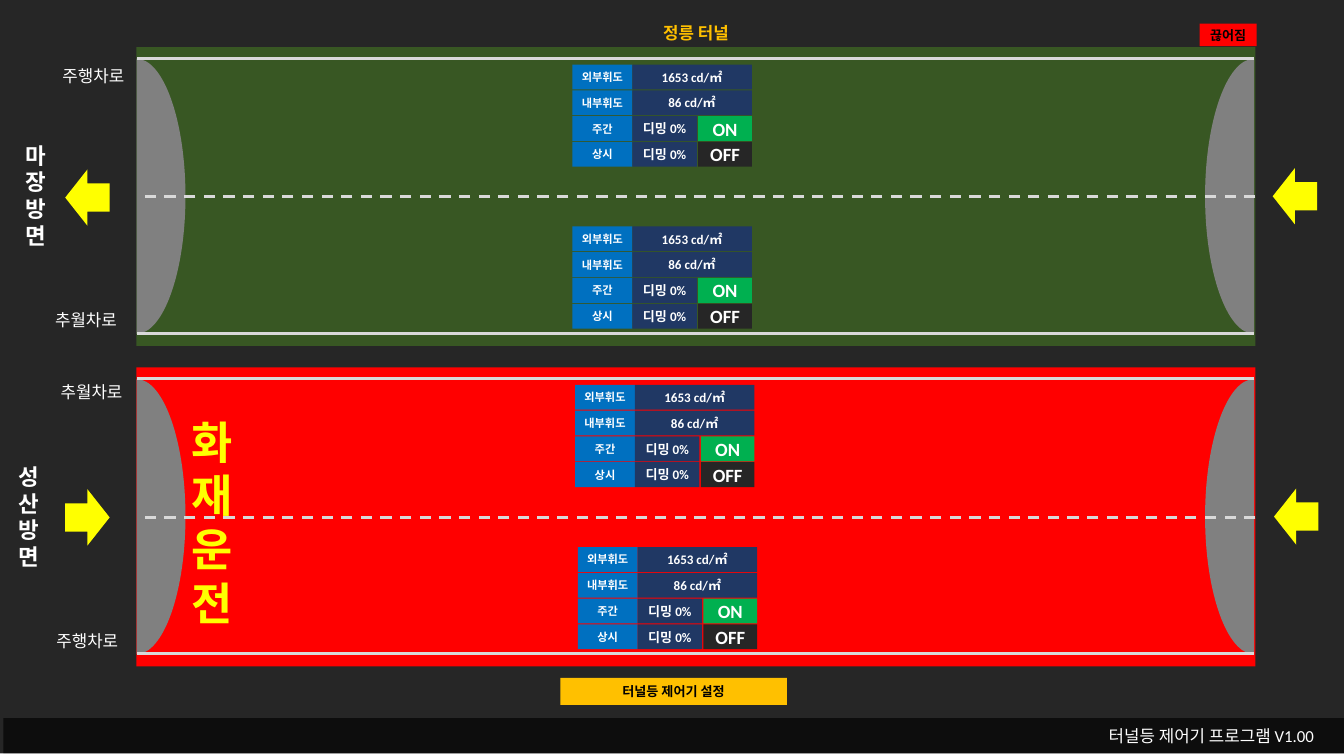
"""Build the tunnel lighting control screen as a single slide."""
from dataclasses import dataclass

from lxml import etree
from pptx import Presentation
from pptx import util as u
from pptx.dml.color import RGBColor
from pptx.enum import dml, shapes, text
from pptx.oxml.ns import qn


@dataclass(frozen=True)
class Theme:
    font: str = "Calibri"
    background: str = "262626"
    footer: str = "0D0D0D"
    white: str = "FFFFFF"
    black: str = "000000"
    yellow: str = "FFFF00"
    amber: str = "FFC000"
    red: str = "FF0000"
    road: str = "385723"
    portal: str = "808080"
    lane: str = "D9D9D9"
    name: str = "0070C0"
    value: str = "203864"
    on: str = "00B050"
    small: int = 12
    medium: int = 14
    label: int = 18
    switch: int = 20
    direction: int = 24
    alarm: int = 48


theme = Theme()
RECTANGLE = shapes.MSO_SHAPE.RECTANGLE
CENTER, RIGHT = text.PP_ALIGN.CENTER, text.PP_ALIGN.RIGHT


def paint(shape, color):
    shape.shadow.inherit = False
    shape.fill.solid()
    shape.fill.fore_color.rgb = RGBColor.from_string(color)
    shape.line.fill.background()


def write(shape, content, size, color=theme.white, bold=True, align=CENTER, margin=None):
    frame = shape.text_frame
    frame.word_wrap = True
    frame.vertical_anchor = text.MSO_ANCHOR.MIDDLE
    if margin is not None:
        frame.margin_left = frame.margin_right = u.Cm(margin)
        frame.margin_top = frame.margin_bottom = u.Cm(margin)
    frame.text = content
    for paragraph in frame.paragraphs:
        paragraph.alignment = align
        paragraph.font.name = theme.font
        paragraph.font.size = u.Pt(size)
        paragraph.font.bold = bold
        paragraph.font.color.rgb = RGBColor.from_string(color)


presentation = Presentation()
presentation.slide_width, presentation.slide_height = u.Cm(50.8), u.Cm(28.58)
slide = presentation.slides.add_slide(presentation.slide_layouts[6])

for place, color in [
    ((0, -0.1, 50.8, 28.58), theme.background),
    ((0.13, 27.15, 50.67, 1.32), theme.footer),
]:
    paint(slide.shapes.add_shape(RECTANGLE, *map(u.Cm, place)), color)

for left, top, rotation in [
    (2.24, 6.63, 90), (47.88, 6.58, 90), (2.24, 18.72, 270), (47.93, 18.69, 90),
]:
    arrow = slide.shapes.add_shape(
        shapes.MSO_SHAPE.DOWN_ARROW, u.Cm(left), u.Cm(top), u.Cm(2.13), u.Cm(1.68))
    arrow.rotation = rotation
    paint(arrow, theme.yellow)

tunnel_left, tunnel_width, tunnel_height = 5.16, 42.29, 11.3
portal_right, portal_depth, portal_radius = 47.4, 1.85, 5.2
dome = [(-1, 0.55), (-0.55, 1), (0, 1), (0.55, 1), (1, 0.55), (1, 0)]
for tunnel_top, color in [(1.78, theme.road), (13.89, theme.red)]:
    tunnel = slide.shapes.add_group_shape().shapes
    road = tunnel.add_shape(
        RECTANGLE, u.Cm(tunnel_left), u.Cm(tunnel_top), u.Cm(tunnel_width), u.Cm(tunnel_height))
    paint(road, color)

    for center_x, rotation in [
        (tunnel_left + portal_depth / 2, 90), (portal_right - portal_depth / 2, 270),
    ]:
        base_y = tunnel_top + 5.64 + portal_depth / 2
        builder = tunnel.build_freeform(u.Cm(center_x - portal_radius), u.Cm(base_y))
        builder.add_line_segments([
            (u.Cm(center_x + x * portal_radius), u.Cm(base_y - y * portal_depth))
            for x, y in dome
        ])
        portal = builder.convert_to_shape()
        outline = next(portal.element.iter(qn("a:path")))
        segments = outline.findall(qn("a:lnTo"))
        for start in (0, 3):
            curve = etree.SubElement(outline, qn("a:cubicBezTo"))
            for segment in segments[start:start + 3]:
                curve.append(segment[0])
                outline.remove(segment)
        closing = outline.find(qn("a:close"))
        if closing is None:
            closing = etree.SubElement(outline, qn("a:close"))
        outline.append(closing)
        portal.rotation = rotation
        paint(portal, theme.portal)

    for offset, right, dash in [
        (0.43, portal_right, None),
        (10.82, portal_right, None),
        (5.66, tunnel_left + tunnel_width, dml.MSO_LINE.DASH),
    ]:
        lane_y = u.Cm(tunnel_top + offset)
        lane = tunnel.add_connector(
            shapes.MSO_CONNECTOR.STRAIGHT, u.Cm(right), lane_y, u.Cm(tunnel_left), lane_y)
        lane.line.color.rgb = RGBColor.from_string(theme.lane)
        lane.line.width = u.Pt(3)
        if dash:
            lane.line.dash_style = dash
        etree.SubElement(lane.element.spPr, qn("a:effectLst"))

name_column, dimming_column, switch_column = (0, 2.26), (2.26, 2.44), (4.75, 2.03)
wide_column = (2.26, 4.52)
panel_rows = [
    [("외부휘도", name_column, theme.name, theme.small),
     ("1653 cd/㎡", wide_column, theme.value, theme.medium)],
    [("내부휘도", name_column, theme.name, theme.small),
     ("86 cd/㎡", wide_column, theme.value, theme.medium)],
    [("주간", name_column, theme.name, theme.small),
     ("디밍 0%", dimming_column, theme.value, theme.medium),
     ("ON", switch_column, theme.on, theme.switch)],
    [("상시", name_column, theme.name, theme.small),
     ("디밍 0%", dimming_column, theme.value, theme.medium),
     ("OFF", switch_column, theme.background, theme.switch)],
]
for panel_left, panel_top in [(21.64, 2.44), (21.64, 8.56), (21.74, 14.55), (21.84, 20.68)]:
    panel = slide.shapes.add_group_shape().shapes
    for row, cells in enumerate(panel_rows):
        for content, (offset, width), color, size in cells:
            cell = panel.add_shape(
                RECTANGLE, u.Cm(panel_left + offset), u.Cm(panel_top + row * 0.975),
                u.Cm(width), u.Cm(0.94))
            paint(cell, color)
            write(cell, content, size, margin=0)

for content, left, top in [
    ("주행차로", 1.42, 2.2), ("추월차로", 1.14, 11.44),
    ("추월차로", 1.35, 14.17), ("주행차로", 1.19, 23.57),
]:
    label = slide.shapes.add_textbox(u.Cm(left), u.Cm(top), u.Cm(4.22), u.Cm(1.32))
    write(label, content, theme.label, bold=False)

for content, place, size, color, bold, align in [
    ("정릉 터널", (5.23, 0.58, 42.16, 1.32), theme.label, theme.amber, True, CENTER),
    ("터널등 제어기 프로그램 V1.00", (32.56, 27.15, 17.35, 1.32),
     theme.label, theme.white, False, RIGHT),
    ("마\n장\n방\n면", (0.33, 3.86, 2.03, 7.06), theme.direction, theme.white, True, CENTER),
    ("성\n산\n방\n면", (0.08, 17.75, 2.03, 3.56), theme.direction, theme.white, True, CENTER),
    ("화\n재\n운\n전", (6.08, 14.08, 3.89, 11.3), theme.alarm, theme.yellow, True, CENTER),
]:
    write(slide.shapes.add_textbox(*map(u.Cm, place)), content, size, color, bold, align)

for content, place, color in [
    ("끊어짐", (45.34, 0.89, 2.16, 0.86), theme.red),
    ("터널등 제어기 설정", (21.18, 25.63, 8.56, 1.02), theme.amber),
]:
    button = slide.shapes.add_shape(RECTANGLE, *map(u.Cm, place))
    paint(button, color)
    write(button, content, theme.medium, theme.black)

presentation.save("out.pptx")
